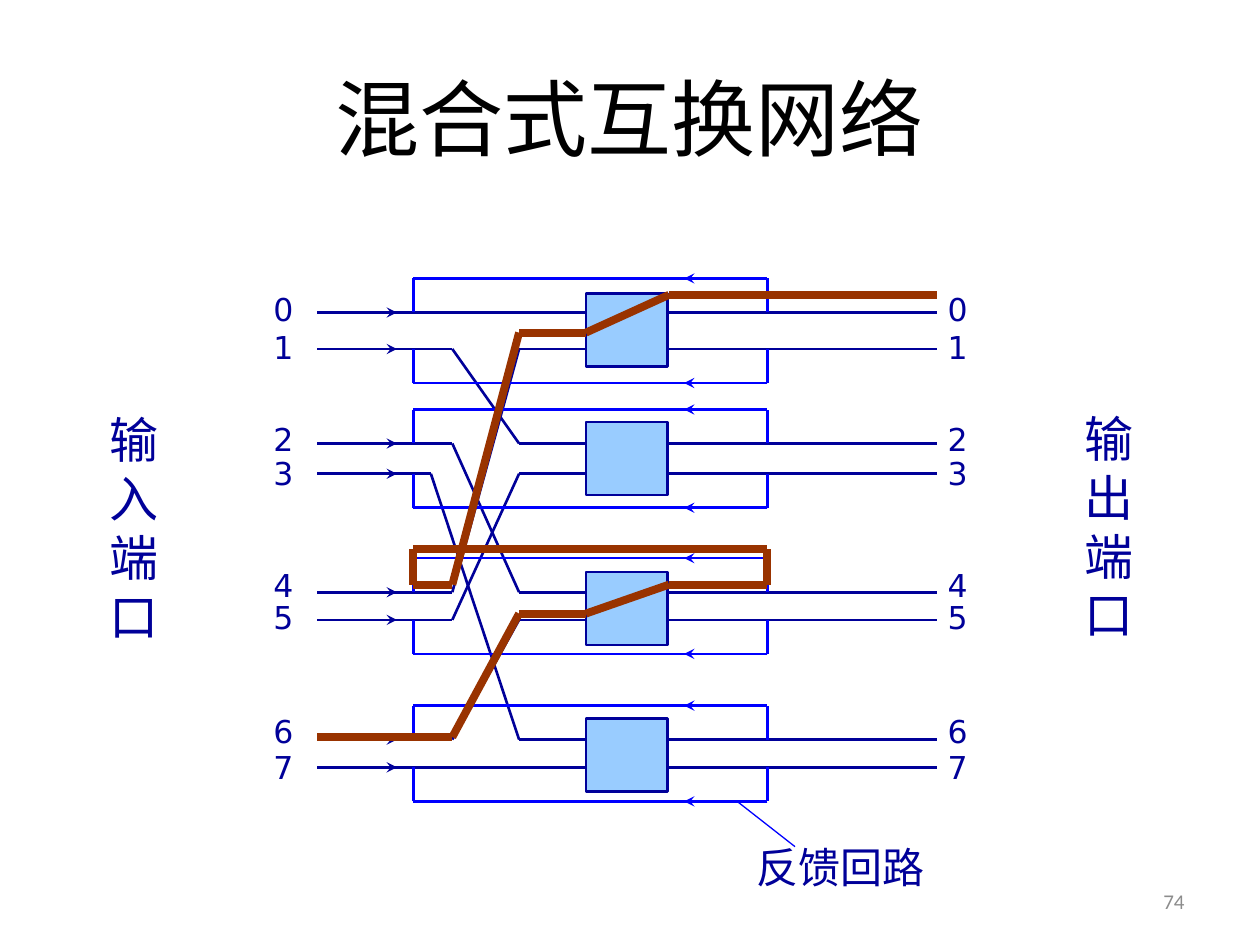
from itertools import pairwise

from lxml import etree
from pptx import Presentation
from pptx.dml.color import RGBColor
from pptx.enum.shapes import MSO_CONNECTOR, MSO_SHAPE
from pptx.enum.text import MSO_ANCHOR, PP_ALIGN
from pptx.oxml.ns import qn
from pptx.util import Inches, Pt

STRAIGHT = MSO_CONNECTOR.STRAIGHT
RECTANGLE = MSO_SHAPE.RECTANGLE
MIDDLE = MSO_ANCHOR.MIDDLE
CENTER, RIGHT = PP_ALIGN.CENTER, PP_ALIGN.RIGHT

COLORS = {
    "title": "000000",
    "page": "8C8C8C",
    "wire": "000099",
    "switch": "99CCFF",
    "loop": "0000FF",
    "route": "993300",
    "paper": "FFFFFF",
}

PORT_YS = [2.48, 2.77, 3.52, 3.76, 4.7, 4.92, 5.87, 6.09]
LABEL_TOPS = [2.3, 2.6, 3.33, 3.6, 4.49, 4.75, 5.65, 5.94]
SWITCH_TOPS = [2.33, 3.35, 4.54, 5.7]

INPUT_X, ARROW_X, OUTPUT_X = 2.52, 3.15, 7.44
BEND_X, EARLY_BEND_X, SHUFFLED_X = 3.59, 3.42, 4.12
SWITCH_LEFT, SWITCH_RIGHT = 4.65, 5.31
LOOP_LEFT, LOOP_ARROW_X, LOOP_RIGHT = 3.28, 5.43, 6.09
LOOP_RISE = 0.27

ROUTE = [
    (INPUT_X, 5.85), (BEND_X, 5.85),
    (SHUFFLED_X, 4.87), (SWITCH_LEFT, 4.87),
    (SWITCH_RIGHT, 4.64), (LOOP_RIGHT, 4.64),
    (LOOP_RIGHT, 4.36), (LOOP_LEFT, 4.36),
    (LOOP_LEFT, 4.64), (BEND_X, 4.64),
    (SHUFFLED_X, 2.64), (SWITCH_LEFT, 2.64),
    (SWITCH_RIGHT, 2.34), (OUTPUT_X, 2.34),
]


def color(name):
    return RGBColor.from_string(COLORS[name])


def add_line(slide, start, end, color_name, width=1.5, arrow=False):
    line = slide.shapes.add_connector(
        STRAIGHT, *(Inches(value) for value in (*start, *end)))
    line.line.color.rgb = color(color_name)
    line.line.width = Pt(width)
    properties = line._element.spPr
    if arrow:
        etree.SubElement(properties.find(qn("a:ln")), qn("a:tailEnd"), type="stealth")
    etree.SubElement(properties, qn("a:effectLst"))


def add_polyline(slide, points, color_name, width=1.5):
    for start, end in pairwise(points):
        add_line(slide, start, end, color_name, width)


def add_box(slide, bounds, fill):
    box = slide.shapes.add_shape(RECTANGLE, *(Inches(value) for value in bounds))
    box.shadow.inherit = False
    box.fill.solid()
    box.fill.fore_color.rgb = color(fill)
    return box


def write(shape, text, size, font_name, color_name, align=CENTER, wrap=True):
    frame = shape.text_frame
    frame.word_wrap = wrap
    frame.vertical_anchor = MIDDLE
    frame.text = text
    paragraph = frame.paragraphs[0]
    paragraph.alignment = align
    paragraph.font.size = Pt(size)
    paragraph.font.name = font_name
    paragraph.font.color.rgb = color(color_name)


def add_text(slide, bounds, *style, **options):
    box = slide.shapes.add_textbox(*(Inches(value) for value in bounds))
    write(box, *style, **options)


def add_label(slide, bounds, text, size, wrap=True):
    """Add text without margins on a white ground."""
    label = add_box(slide, bounds, "paper")
    label.line.fill.background()
    frame = label.text_frame
    frame.margin_left = frame.margin_right = 0
    frame.margin_top = frame.margin_bottom = 0
    write(label, text, size, "DejaVu Sans", "wire", wrap=wrap)


def add_switch(slide, top):
    switch = add_box(slide, (SWITCH_LEFT, top, 0.65, 0.58), "switch")
    switch.line.color.rgb = color("wire")
    switch.line.width = Pt(1.5)


def add_port_wires(slide, port, y):
    """Draw one input, its perfect shuffle to a switch, and one output."""
    last = len(PORT_YS) - 1
    target = port if port == last else 2 * port % last
    if target == port:
        add_line(slide, (INPUT_X, y), (SWITCH_LEFT, y), "wire")
    else:
        bend = EARLY_BEND_X if port == 3 else BEND_X
        target_y = PORT_YS[target]
        add_polyline(slide, [(INPUT_X, y), (bend, y), (SHUFFLED_X, target_y),
                             (SWITCH_LEFT, target_y)], "wire")
    add_line(slide, (INPUT_X, y), (ARROW_X, y), "wire", arrow=True)
    add_line(slide, (SWITCH_RIGHT, y), (OUTPUT_X, y), "wire")


def add_feedback_loop(slide, port, y):
    """Lead an output back to its input, above even ports and below odd ones."""
    loop_y = y + LOOP_RISE if port % 2 else y - LOOP_RISE
    add_polyline(slide, [(LOOP_RIGHT, y), (LOOP_RIGHT, loop_y),
                         (LOOP_LEFT, loop_y), (LOOP_LEFT, y)], "loop")
    add_line(slide, (LOOP_RIGHT, loop_y), (LOOP_ARROW_X, loop_y), "loop", arrow=True)


def main():
    presentation = Presentation()
    presentation.slide_width = Inches(10)
    presentation.slide_height = Inches(7.5)
    slide = presentation.slides.add_slide(presentation.slide_layouts[6])

    add_text(slide, (7.17, 6.95, 2.33, 0.4), "74", 12, "Calibri", "page", align=RIGHT)
    add_text(slide, (0.5, 0.3, 9, 1.25), "混合式互换网络", 48, "Calibri", "title")

    for top in SWITCH_TOPS:
        add_switch(slide, top)
    for port, y in enumerate(PORT_YS):
        add_port_wires(slide, port, y)
    for port, y in enumerate(PORT_YS):
        add_feedback_loop(slide, port, y)

    for left in (2.17, 7.52):
        for port, top in enumerate(LABEL_TOPS):
            add_label(slide, (left, top, 0.16, 0.3), str(port), 18, wrap=False)
    add_label(slide, (0.87, 3.25, 0.37, 1.87), "输入端口", 28)
    add_label(slide, (8.61, 3.24, 0.37, 1.87), "输出端口", 28)
    add_label(slide, (5.85, 6.68, 1.64, 0.4), "反馈回路", 24)
    add_line(slide, (5.85, 6.36), (6.31, 6.72), "loop", width=0.75)

    add_polyline(slide, ROUTE, "route", width=4.5)
    presentation.save("out.pptx")


if __name__ == "__main__":
    main()
